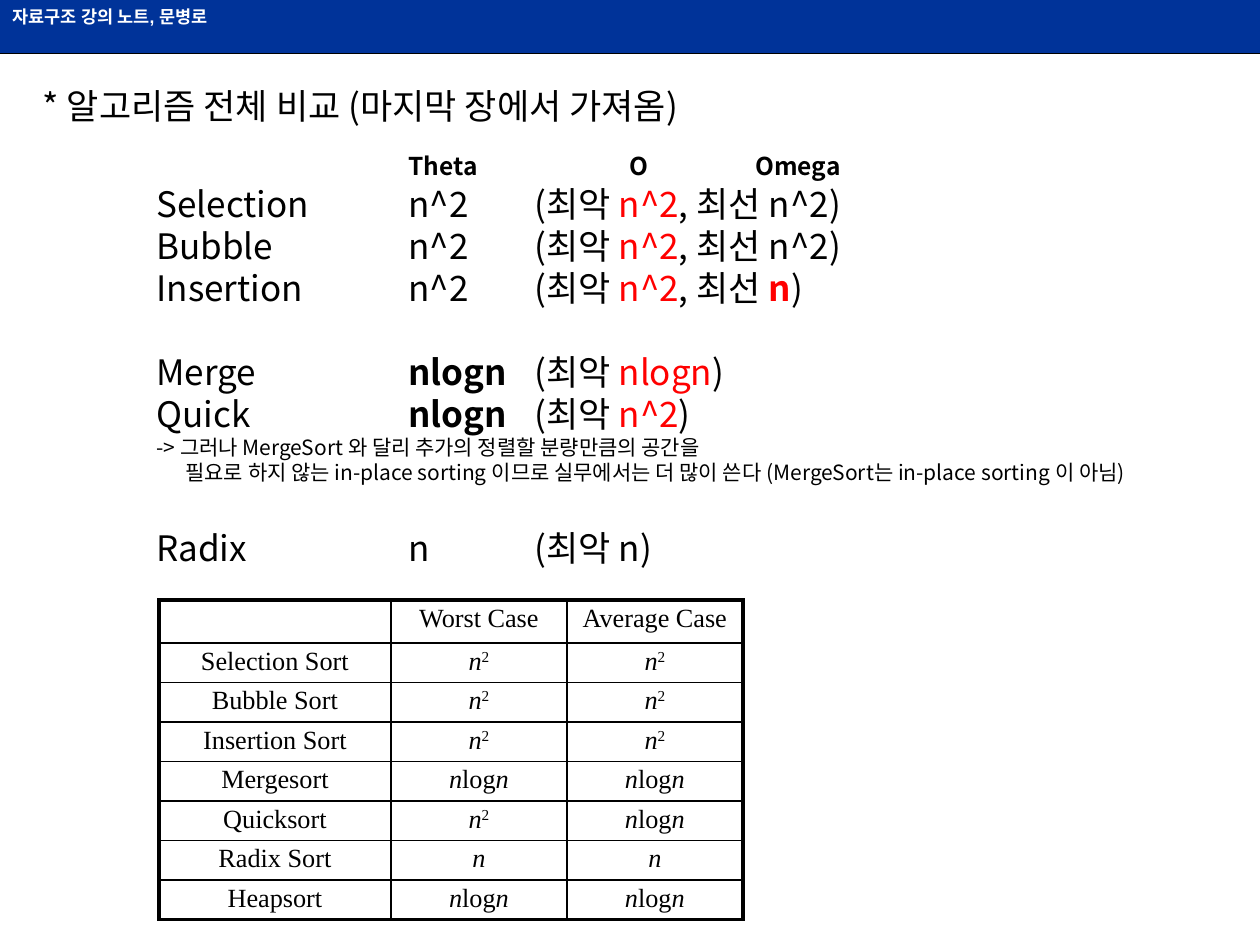
from lxml.etree import SubElement
from pptx import Presentation
from pptx.dml.color import RGBColor
from pptx.enum.shapes import MSO_CONNECTOR, MSO_SHAPE
from pptx.enum.text import MSO_ANCHOR, MSO_AUTO_SIZE, PP_ALIGN
from pptx.oxml.ns import qn
from pptx.util import Emu, Pt

EMU_PER_PX = 914400 / 126
BODY_FONT = "Noto Sans CJK KR"
TABLE_FONT = "Times New Roman"
BLACK, WHITE, RED, NAVY = "000000", "FFFFFF", "FF0000", "003399"

# Tab stops in px, measured from the left edge of the text
HEADING_TABS = (252, 473, 599)
ROW_TABS = (252, 378)

# Table cell contents as (text, style) runs
SQUARE = [("n", "italic"), ("2", "super")]
LINEAR = [("n", "italic")]
LOG_LINEAR = [("n", "italic"), ("log", ""), ("n", "italic")]
CASES = [
    ("Selection Sort", SQUARE, SQUARE),
    ("Bubble Sort", SQUARE, SQUARE),
    ("Insertion Sort", SQUARE, SQUARE),
    ("Mergesort", LOG_LINEAR, LOG_LINEAR),
    ("Quicksort", SQUARE, LOG_LINEAR),
    ("Radix Sort", LINEAR, LINEAR),
    ("Heapsort", LOG_LINEAR, LOG_LINEAR),
]


def px(length):
    return Emu(round(length * EMU_PER_PX))


def color(value):
    return RGBColor.from_string(value)


def add_run(paragraph, text, size, name=BODY_FONT, fill=BLACK, bold=False):
    run = paragraph.add_run()
    run.text = text
    font = run.font
    font.name, font.size, font.bold = name, Pt(size), bold
    font.color.rgb = color(fill)
    SubElement(run._r.get_or_add_rPr(), qn("a:ea"), typeface=name)
    return run


def set_tabs(paragraph, stops):
    tab_list = SubElement(paragraph._p.get_or_add_pPr(), qn("a:tabLst"))
    for stop in stops:
        SubElement(tab_list, qn("a:tab"), pos=str(px(stop)), algn="l")


def add_banner(slide):
    line = slide.shapes.add_connector(
        MSO_CONNECTOR.STRAIGHT, 0, px(53), px(1260), px(53))
    line.line.color.rgb = color(BLACK)
    line.line.width = Pt(1.5)
    SubElement(line._element.spPr, qn("a:effectLst"))

    banner = slide.shapes.add_shape(MSO_SHAPE.RECTANGLE, 0, 0, px(1260), px(53))
    banner.shadow.inherit = False
    banner.fill.solid()
    banner.fill.fore_color.rgb = color(NAVY)
    banner.line.fill.background()
    banner.text_frame.vertical_anchor = MSO_ANCHOR.TOP
    paragraph = banner.text_frame.paragraphs[0]
    paragraph.alignment = PP_ALIGN.LEFT
    add_run(paragraph, "자료구조 강의 노트, 문병로", 10, "Arial", WHITE, True)


def set_title(slide, text):
    title = slide.shapes.title
    title.left, title.top, title.width, title.height = map(px, (30, 78, 756, 55))
    frame = title.text_frame
    frame.auto_size = MSO_AUTO_SIZE.NONE
    frame.vertical_anchor = MSO_ANCHOR.TOP
    paragraph = frame.paragraphs[0]
    paragraph.alignment = PP_ALIGN.LEFT
    paragraph.line_spacing = Pt(24)
    add_run(paragraph, text, 20)


def add_comparison(slide):
    box = slide.shapes.add_textbox(px(144), px(134), px(1116), px(445))
    frame = box.text_frame
    frame.word_wrap = True

    # Column headings
    heading = frame.paragraphs[0]
    heading.line_spacing = Pt(24)
    set_tabs(heading, HEADING_TABS)
    add_run(heading, "\t", 20)
    add_run(heading, "Theta\tO\tOmega", 14, bold=True)

    def add_row(name, theta, worst, best="", gap=0, strong_theta=False,
                worst_fill=RED, strong_best=False):
        row = frame.add_paragraph()
        row.line_spacing, row.space_before = Pt(24), Pt(gap)
        set_tabs(row, ROW_TABS)
        add_run(row, f"{name}\t", 20)
        add_run(row, theta, 20, bold=strong_theta)
        add_run(row, "\t(최악 ", 20)
        add_run(row, worst, 20, fill=worst_fill)
        if best:
            add_run(row, ", 최선 ", 20)
            add_run(row, best, 20, fill=RED if strong_best else BLACK,
                    bold=strong_best)
        add_run(row, ")", 20)

    def add_note(text, indent=0):
        note = frame.add_paragraph()
        note.line_spacing = Pt(14.4)
        note._p.get_or_add_pPr().set("marL", str(px(indent)))
        add_run(note, text, 12)

    # One row per algorithm
    add_row("Selection", "n^2", "n^2", "n^2")
    add_row("Bubble", "n^2", "n^2", "n^2")
    add_row("Insertion", "n^2", "n^2", "n", strong_best=True)
    add_row("Merge", "nlogn", "nlogn", gap=24, strong_theta=True)
    add_row("Quick", "nlogn", "n^2", strong_theta=True)
    add_note("-> 그러나 MergeSort 와 달리 추가의 정렬할 분량만큼의 공간을")
    add_note("필요로 하지 않는 in-place sorting 이므로 실무에서는 더 많이 쓴다 "
             "(MergeSort는 in-place sorting 이 아님)", indent=29)
    add_row("Radix", "n", "n", gap=24, worst_fill=BLACK)


def set_border(cell, side, width):
    line = SubElement(cell._tc.get_or_add_tcPr(), qn(f"a:ln{side}"),
                      w=str(Pt(width)))
    fill = SubElement(line, qn("a:solidFill"))
    SubElement(fill, qn("a:srgbClr"), val=BLACK)


def fill_cell(cell, content):
    runs = [(content, "")] if isinstance(content, str) else content
    cell.margin_left = cell.margin_right = px(8)
    cell.margin_top = cell.margin_bottom = px(4 if content else 0)
    paragraph = cell.text_frame.paragraphs[0]
    paragraph.alignment = PP_ALIGN.CENTER
    paragraph.font.size = Pt(15)
    for text, style in runs:
        if not text:
            continue
        run = add_run(paragraph, text, 15, TABLE_FONT)
        run.font.italic = style == "italic"
        if style == "super":
            run._r.get_or_add_rPr().set("baseline", "30000")


def add_case_table(slide):
    rows = [("", "Worst Case", "Average Case"), *CASES]
    widths = (232, 176, 176)
    heights = [43] + [39] * len(CASES)
    table = slide.shapes.add_table(
        len(rows), len(widths), px(159), px(600),
        px(sum(widths)), px(sum(heights))).table
    table.first_row = table.horz_banding = False
    for column, width in zip(table.columns, widths):
        column.width = px(width)
    for row, height in zip(table.rows, heights):
        row.height = px(height)

    last_row, last_column = len(rows) - 1, len(widths) - 1
    for r, contents in enumerate(rows):
        for c, content in enumerate(contents):
            cell = table.cell(r, c)
            fill_cell(cell, content)
            outer = {"L": c == 0, "R": c == last_column,
                     "T": r == 0, "B": r == last_row}
            for side, is_outer in outer.items():
                set_border(cell, side, 2.25 if is_outer else 1)
            cell.fill.background()


def main():
    presentation = Presentation()
    presentation.slide_width, presentation.slide_height = px(1260), px(945)
    slide = presentation.slides.add_slide(presentation.slide_layouts[5])
    add_banner(slide)
    add_comparison(slide)
    set_title(slide, "* 알고리즘 전체 비교 (마지막 장에서 가져옴)")
    add_case_table(slide)
    presentation.save("out.pptx")


if __name__ == "__main__":
    main()
